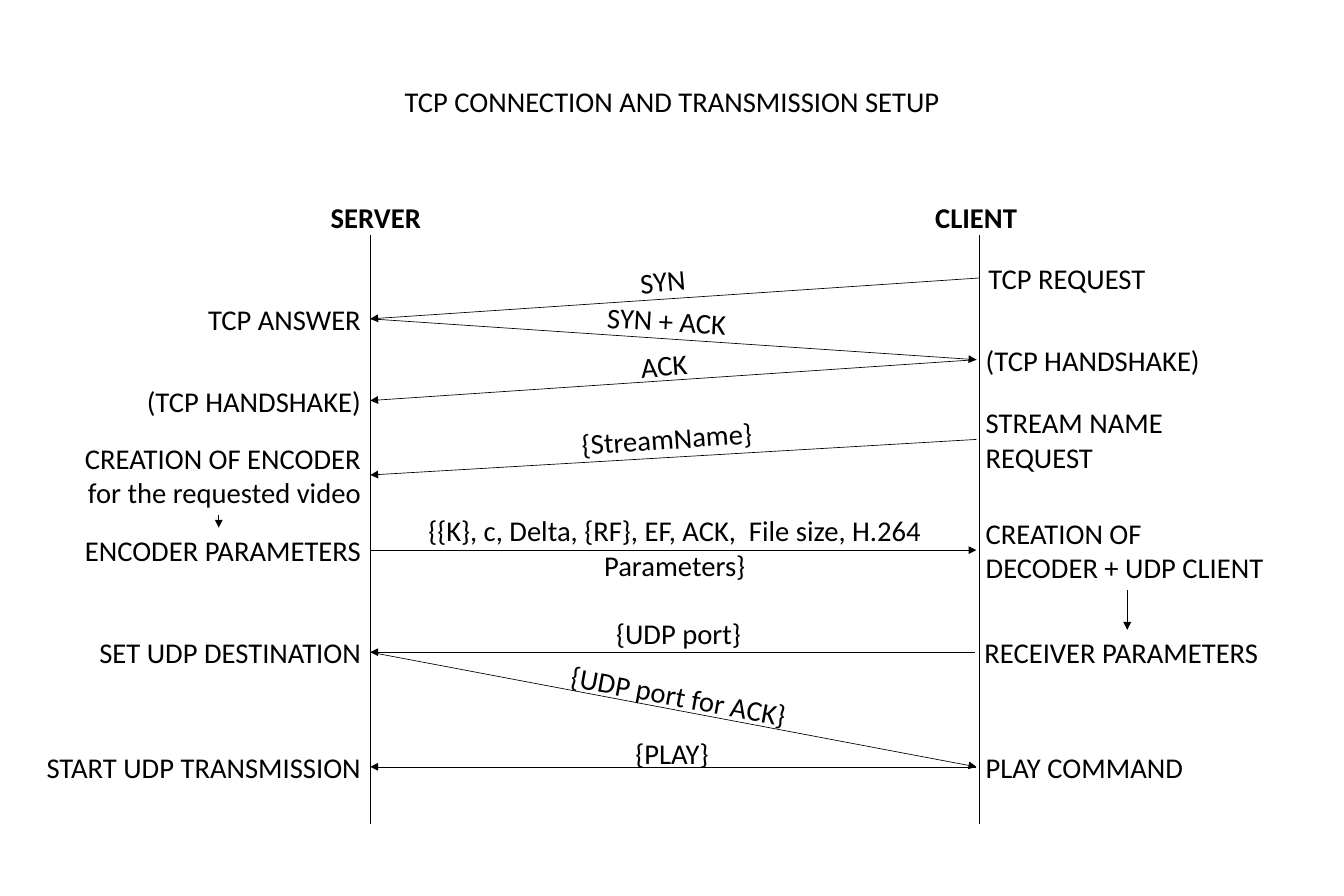
from dataclasses import dataclass

from lxml.etree import SubElement
from pptx import Presentation
from pptx.dml.color import RGBColor
from pptx.enum.shapes import MSO_CONNECTOR as Connector
from pptx.enum.text import MSO_ANCHOR as Anchor, MSO_AUTO_SIZE as AutoSize, PP_ALIGN as Align
from pptx.oxml.ns import qn
from pptx.util import Pt


@dataclass(frozen=True)
class Theme:
    font: str = "Calibri"
    size: float = 21.7
    ink: RGBColor = RGBColor(0, 0, 0)
    line_width: float = 0.5


theme = Theme()
TOP, LEFT, BOTTOM, RIGHT = range(4)
LINE_HEIGHT, TWO_LINES = 34, 61
SERVER_X, CLIENT_X = 281, 743
LANE_TOP, LANE_BOTTOM = 178.5, 625

prs = Presentation()
prs.slide_width, prs.slide_height = Pt(1020), Pt(680)
slide = prs.slides.add_slide(prs.slide_layouts[5])


def write(box, text, align, bold=False):
    frame = box.text_frame
    frame.text = text
    frame.word_wrap = True
    frame.auto_size = AutoSize.NONE
    frame.vertical_anchor = Anchor.MIDDLE
    for paragraph in frame.paragraphs:
        paragraph.alignment = align
        for run in paragraph.runs:
            run.font.name = theme.font
            run.font.size = Pt(theme.size)
            run.font.bold = bold
            run.font.color.rgb = theme.ink
    return box


def draw_line(x1=0, y1=0, x2=0, y2=0, arrow=False):
    line = slide.shapes.add_connector(Connector.STRAIGHT, Pt(x1), Pt(y1), Pt(x2), Pt(y2))
    line.line.color.rgb = theme.ink
    line.line.width = Pt(theme.line_width)
    if arrow:
        SubElement(line.line._get_or_add_ln(), qn("a:tailEnd"), type="triangle")
    SubElement(line._element.spPr, qn("a:effectLst"))
    return line


title = slide.shapes.title
title.left, title.top, title.width, title.height = Pt(279), Pt(60), Pt(462), Pt(LINE_HEIGHT)
write(title, "TCP CONNECTION AND TRANSMISSION SETUP", Align.CENTER)

# Lanes: name, lane x, left edge of the heading
for name, lane_x, heading_left in [("SERVER", SERVER_X, 214), ("CLIENT", CLIENT_X, 669.5)]:
    draw_line(lane_x, LANE_TOP, lane_x, LANE_BOTTOM)
    heading = slide.shapes.add_textbox(Pt(heading_left), Pt(147.5), Pt(142.5), Pt(LINE_HEIGHT))
    write(heading, name, Align.CENTER, bold=True)

# Events: key, text, left, middle y, width, height
server_events = [
    ("answer", "TCP ANSWER", 242, 230, LINE_HEIGHT),
    ("server handshake", "(TCP HANDSHAKE)", 304, 230, LINE_HEIGHT),
    ("encoder", "CREATION OF ENCODER\nfor the requested video", 360.5, 230, TWO_LINES),
    ("encoder parameters", "ENCODER PARAMETERS", 417.5, 230, LINE_HEIGHT),
    ("destination", "SET UDP DESTINATION", 495, 273, LINE_HEIGHT),
    ("transmission", "START UDP TRANSMISSION", 582, 273, LINE_HEIGHT),
]
client_events = [
    ("request", "TCP REQUEST", 743, 211, 255, LINE_HEIGHT),
    ("client handshake", "(TCP HANDSHAKE)", 741, 273, 210, LINE_HEIGHT),
    ("stream name", "STREAM NAME REQUEST", 741, 333.5, 229, TWO_LINES),
    ("decoder", "CREATION OF\nDECODER + UDP CLIENT", 741, 417.5, 229, TWO_LINES),
    ("receiver parameters", "RECEIVER PARAMETERS", 740, 495, 231, LINE_HEIGHT),
    ("play", "PLAY COMMAND", 741, 582, 230, LINE_HEIGHT),
]
placed = [(key, text, SERVER_X - width, middle, width, height, Align.RIGHT)
          for key, text, middle, width, height in server_events]
placed += [event + (Align.LEFT,) for event in client_events]

events = {}
for key, text, left, middle, width, height, align in placed:
    event_box = slide.shapes.add_textbox(Pt(left), Pt(middle - height / 2), Pt(width), Pt(height))
    events[key] = write(event_box, text, align)

# Arrows: sending event, its side, receiving event, its side
for sender, sender_side, receiver, receiver_side in [
    ("request", LEFT, "answer", RIGHT),
    ("answer", RIGHT, "client handshake", LEFT),
    ("client handshake", LEFT, "server handshake", RIGHT),
    ("stream name", LEFT, "encoder", RIGHT),
    ("encoder", BOTTOM, "encoder parameters", TOP),
    ("encoder parameters", RIGHT, "decoder", LEFT),
    ("decoder", BOTTOM, "receiver parameters", TOP),
    ("receiver parameters", LEFT, "destination", RIGHT),
    ("destination", RIGHT, "play", LEFT),
    ("play", LEFT, "transmission", RIGHT),
]:
    arrow = draw_line(arrow=True)
    arrow.begin_connect(events[sender], sender_side)
    arrow.end_connect(events[receiver], receiver_side)

# Messages: text, centre x, centre y, width, height, rotation
for text, center_x, center_y, width, height, rotation in [
    ("SYN", 503, 213, 57, LINE_HEIGHT, -5.1),
    ("SYN + ACK", 506, 243, 110, LINE_HEIGHT, 3.2),
    ("ACK", 504, 277, 55, LINE_HEIGHT, -4),
    ("{StreamName}", 506, 332.5, 150, LINE_HEIGHT, -4),
    ("{{K}, c, Delta, {RF}, EF, ACK,  File size, H.264 Parameters}", 512, 415.5, 458, TWO_LINES, 0),
    ("{UDP port}", 515, 480.5, 458, LINE_HEIGHT, 0),
    ("{UDP port for ACK}", 515, 528, 458, LINE_HEIGHT, 10.6),
    ("{PLAY}", 510, 571.5, 458, LINE_HEIGHT, 0),
]:
    message = slide.shapes.add_textbox(
        Pt(center_x - width / 2), Pt(center_y - height / 2), Pt(width), Pt(height))
    message.rotation = rotation
    write(message, text, Align.CENTER)

prs.save("out.pptx")
